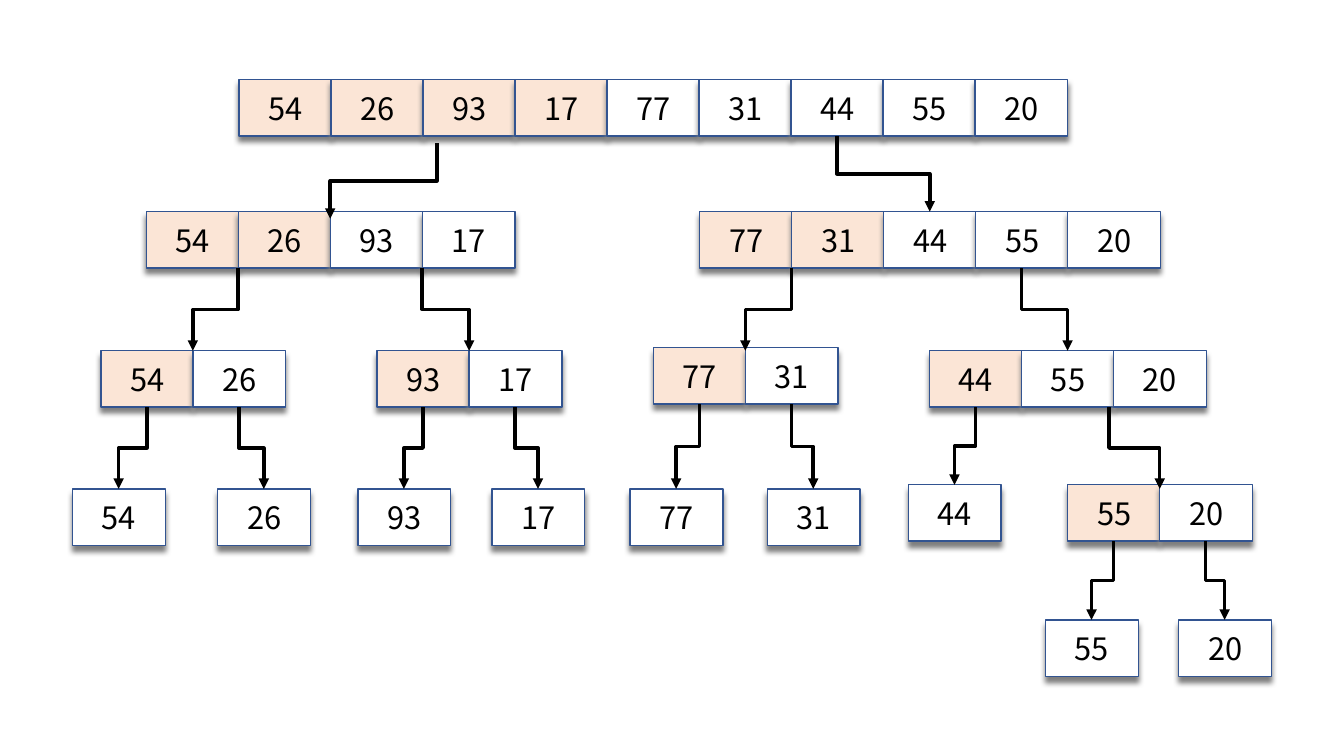
from lxml.etree import SubElement
from pptx import Presentation
from pptx.dml.color import RGBColor
from pptx.enum.shapes import MSO_CONNECTOR as Connector, MSO_SHAPE as Shape
from pptx.enum.text import MSO_ANCHOR as Anchor, PP_ALIGN as Align
from pptx.oxml.ns import qn
from pptx.util import Inches, Pt

# Content: each list is (left, top, values, number of shaded cells)
LISTS = {
    "all": (2.37, 0.79, [54, 26, 93, 17, 77, 31, 44, 55, 20], 4),
    "left half": (1.45, 2.1, [54, 26, 93, 17], 2),
    "right half": (6.94, 2.1, [77, 31, 44, 55, 20], 2),
    "54-26": (1, 3.48, [54, 26], 1),
    "93-17": (3.74, 3.48, [93, 17], 1),
    "77-31": (6.48, 3.45, [77, 31], 1),
    "44-20": (9.22, 3.48, [44, 55, 20], 1),
    "54": (0.72, 4.85, [54], 0),
    "26": (2.16, 4.85, [26], 0),
    "93": (3.55, 4.85, [93], 0),
    "17": (4.88, 4.85, [17], 0),
    "77": (6.25, 4.85, [77], 0),
    "31": (7.61, 4.85, [31], 0),
    "44": (9.01, 4.81, [44], 0),
    "55-20": (10.59, 4.81, [55, 20], 1),
    "55": (10.37, 6.15, [55], 0),
    "20": (11.69, 6.15, [20], 0),
}

# Splits: (parent, start counted in cells, child, start drop, end drop)
SPLITS = [
    ("all", 2.15, "left half", 0.07, 0.07),
    ("all", 6.5, "right half", 0, 0),
    ("left half", 1, "54-26", 0, 0),
    ("left half", 3, "93-17", 0, 0),
    ("right half", 1, "77-31", 0, 0.03),
    ("right half", 3.5, "44-20", 0, 0),
    ("54-26", 0.5, "54", 0, 0),
    ("54-26", 1.5, "26", 0, 0),
    ("93-17", 0.5, "93", 0, 0),
    ("93-17", 1.5, "17", 0, 0),
    ("77-31", 0.5, "77", 0, 0),
    ("77-31", 1.5, "31", 0, 0),
    ("44-20", 0.5, "44", 0, 0),
    ("44-20", 1.95, "55-20", 0, 0.04),
    ("55-20", 0.5, "55", 0, 0),
    ("55-20", 1.5, "20", 0, 0),
]

THEME = {
    "font": "Noto Sans CJK KR",
    "size": 22,
    "text": RGBColor.from_string("000000"),
    "shaded": RGBColor.from_string("FBE5D6"),
    "plain": RGBColor.from_string("FFFFFF"),
    "border": RGBColor.from_string("325491"),
    "arrow": RGBColor.from_string("000000"),
    "shadow": "808080",
}
CELL_WIDTH, CELL_HEIGHT = 0.92, 0.56
PITCH = 7.3 / 8  # neighbouring cells overlap slightly


def write(box, text, *, size, color, font):
    frame = box.text_frame
    frame.vertical_anchor = Anchor.MIDDLE
    para = frame.paragraphs[0]
    para.alignment = Align.CENTER
    span = para.add_run()
    span.text = text
    span.font.size = Pt(size)
    span.font.name = font
    span.font.color.rgb = color


def drop_shadow(box):
    box.shadow.inherit = False
    effects = box._element.spPr.find(qn("a:effectLst"))
    shadow = SubElement(effects, qn("a:outerShdw"), blurRad=str(Pt(4)),
                        dist=str(Pt(4)), dir="5400000", rotWithShape="0")
    SubElement(shadow, qn("a:srgbClr"), val=THEME["shadow"])


def add_cell(page, left, top, value, shaded):
    box = page.shapes.add_shape(Shape.RECTANGLE, Inches(left), Inches(top),
                                Inches(CELL_WIDTH), Inches(CELL_HEIGHT))
    box.fill.solid()
    box.fill.fore_color.rgb = THEME["shaded" if shaded else "plain"]
    box.line.color.rgb = THEME["border"]
    box.line.width = Pt(1)
    drop_shadow(box)
    write(box, str(value), size=THEME["size"], color=THEME["text"], font=THEME["font"])


def add_arrow(page, start_x, start_y, end_x, end_y):
    # The elbow runs sideways by default, so it is turned about its centre
    center_x, center_y = (start_x + end_x) / 2, (start_y + end_y) / 2
    half_width, half_height = (end_y - start_y) / 2, abs(end_x - start_x) / 2
    arrow = page.shapes.add_connector(
        Connector.ELBOW,
        Inches(center_x - half_width), Inches(center_y - half_height),
        Inches(center_x + half_width), Inches(center_y + half_height))
    props = arrow._element.spPr
    frame = props.find(qn("a:xfrm"))
    if end_x < start_x:
        frame.set("rot", "5400000")
    else:
        frame.set("rot", "16200000")
        frame.set("flipH", "1")
    arrow.line.color.rgb = THEME["arrow"]
    arrow.line.width = Pt(2.5)
    SubElement(props.find(qn("a:ln")), qn("a:tailEnd"), type="triangle")
    SubElement(props, qn("a:effectLst"))


def main():
    deck = Presentation()
    deck.slide_width, deck.slide_height = Inches(13.33), Inches(7.5)
    page = deck.slides.add_slide(deck.slide_layouts[6])

    # Lists of cells
    for left, top, values, shaded_count in LISTS.values():
        for index, value in enumerate(values):
            add_cell(page, left + index * PITCH, top, value, index < shaded_count)

    # Arrows from each parent to the top centre of its child
    for parent, start, child, start_drop, end_drop in SPLITS:
        parent_left, parent_top, _, _ = LISTS[parent]
        child_left, child_top, values, _ = LISTS[child]
        add_arrow(page,
                  parent_left + start * PITCH,
                  parent_top + CELL_HEIGHT + start_drop,
                  child_left + len(values) * PITCH / 2,
                  child_top + end_drop)

    deck.save("out.pptx")


if __name__ == "__main__":
    main()
